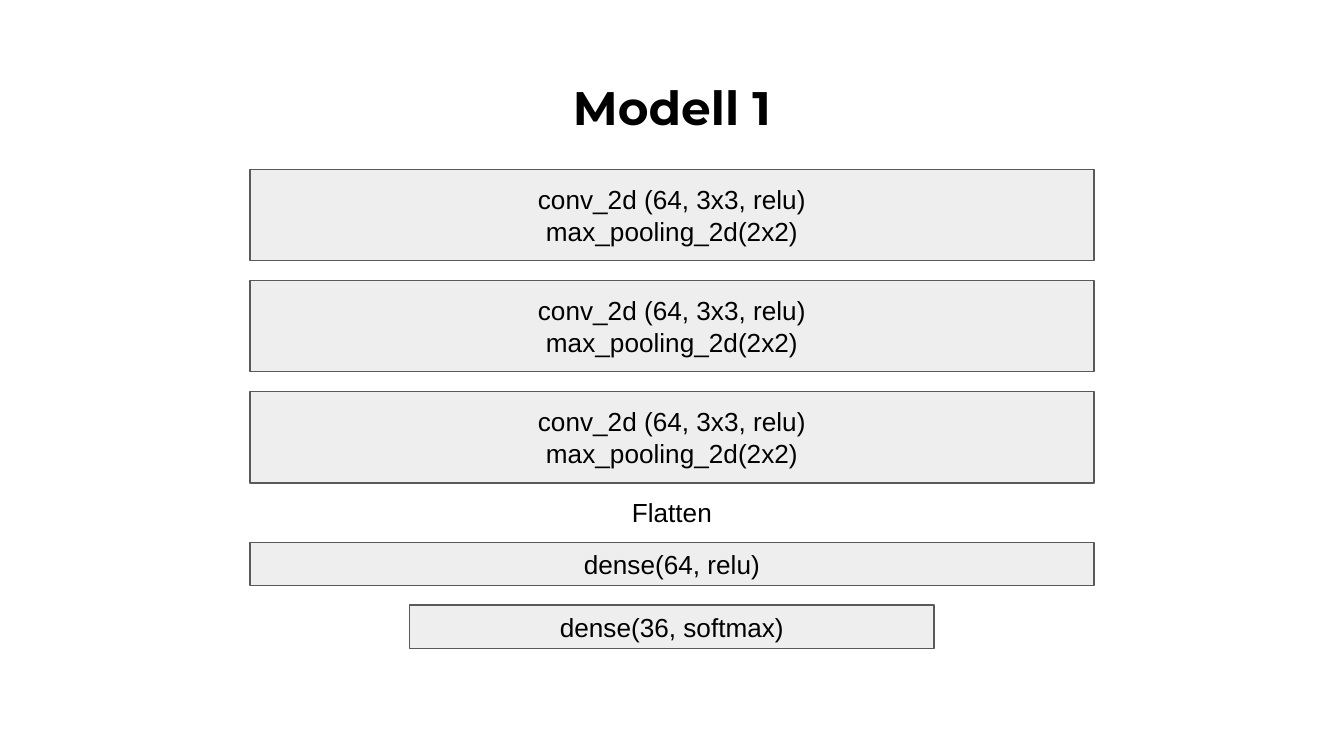
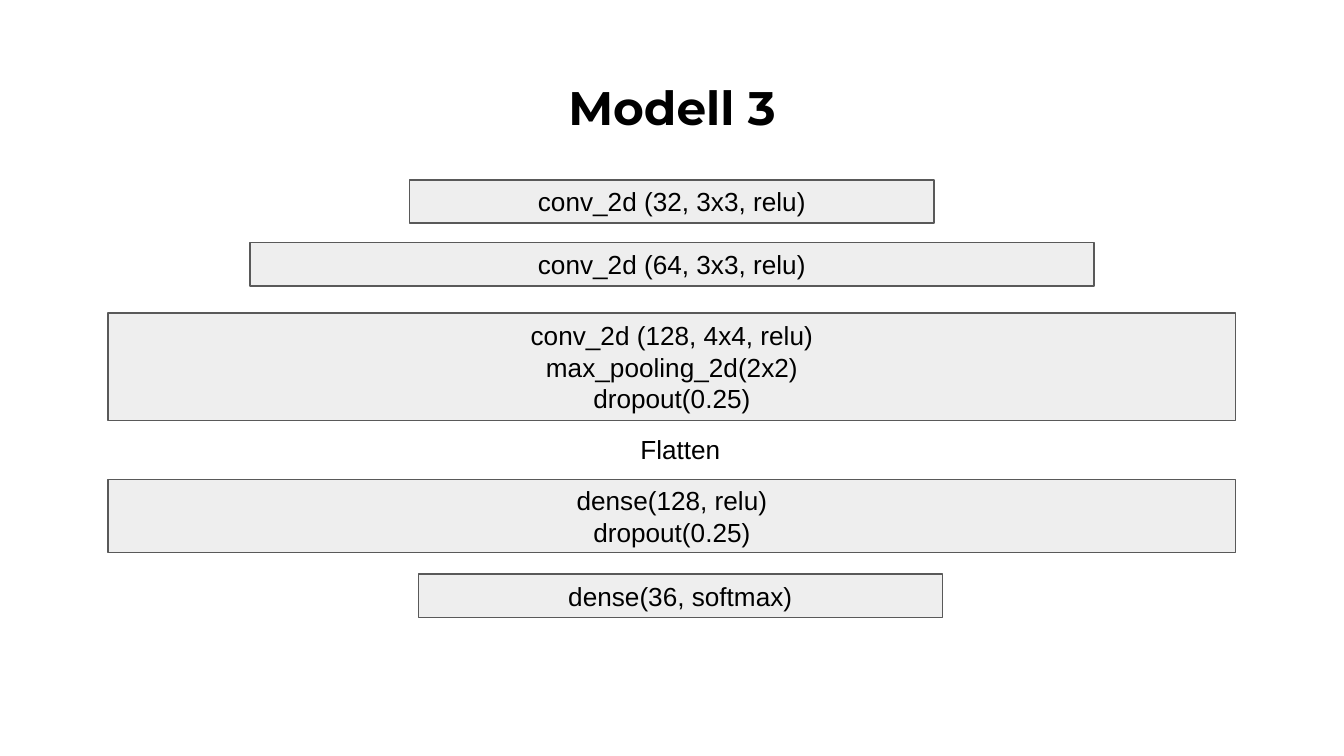
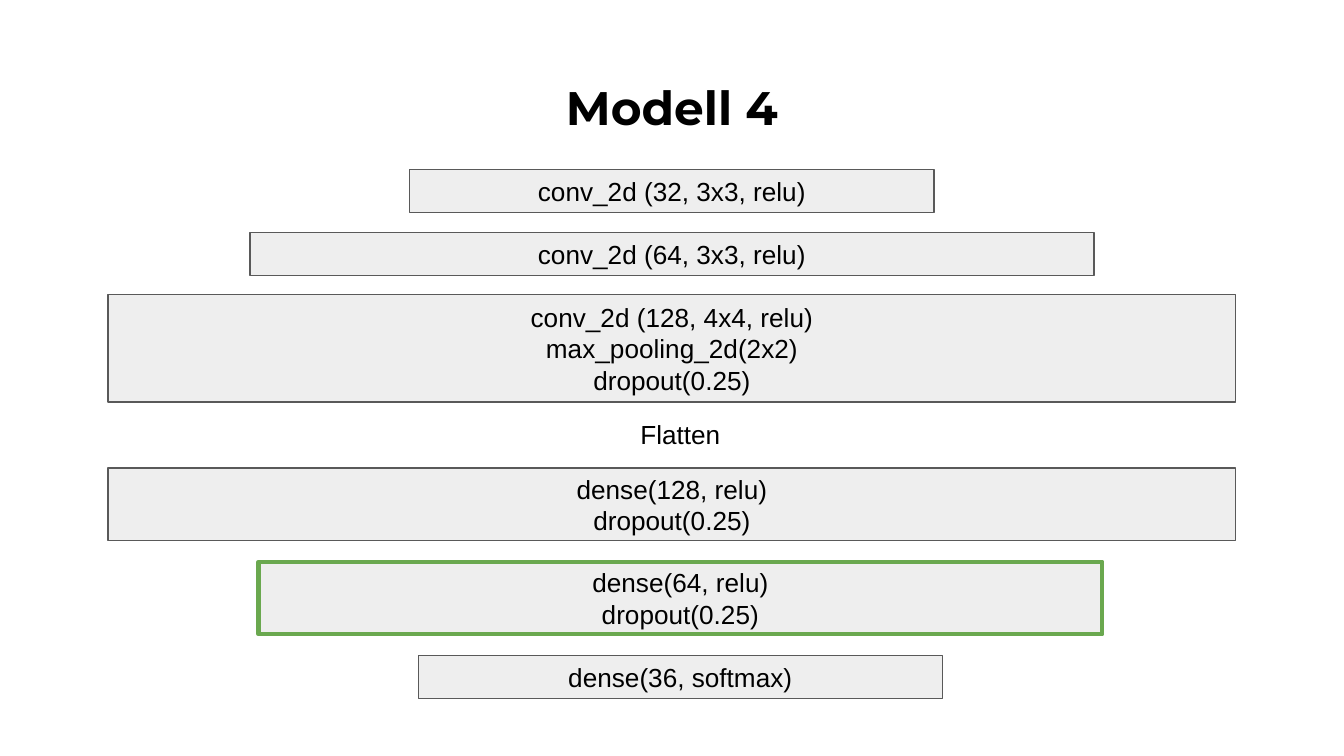
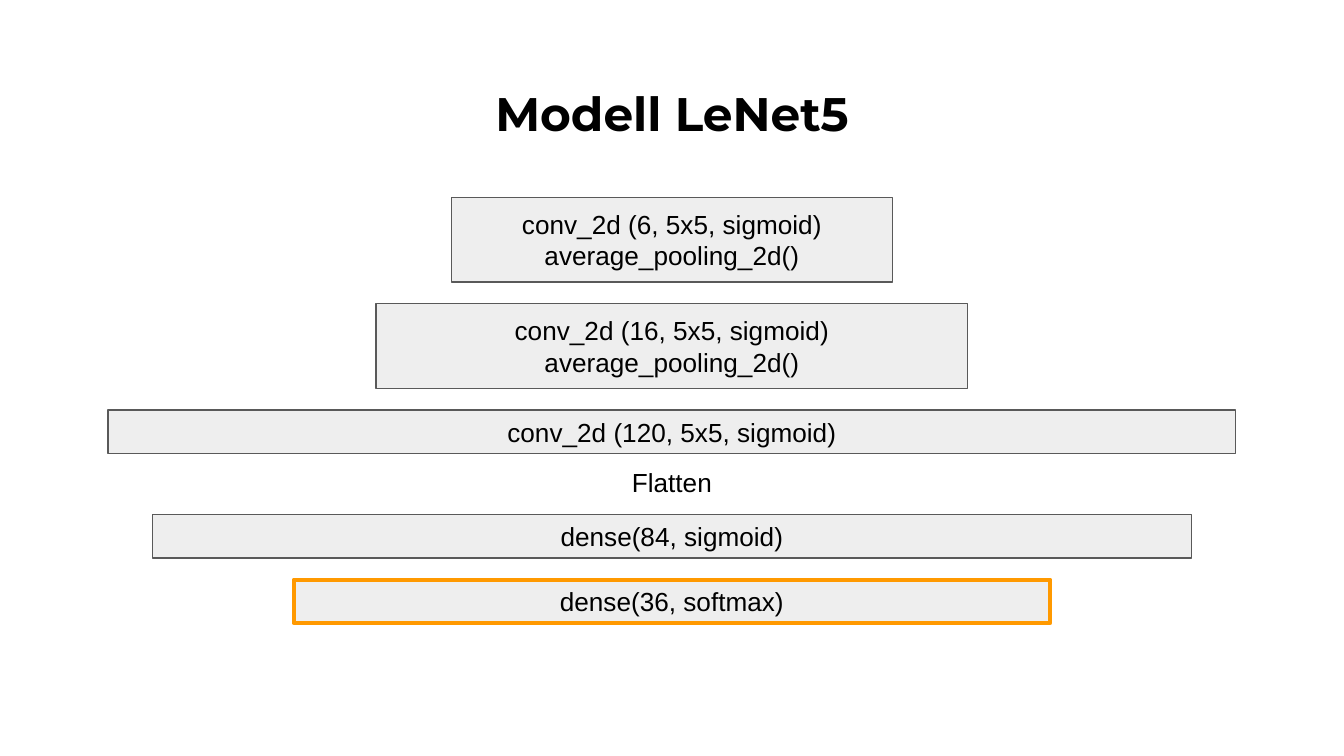
from dataclasses import dataclass
from typing import Optional

from pptx import Presentation
from pptx.dml.color import RGBColor
from pptx.enum.shapes import MSO_SHAPE
from pptx.enum.text import MSO_ANCHOR, MSO_AUTO_SIZE, PP_ALIGN
from pptx.util import Cm, Pt

BLACK = RGBColor(0x00, 0x00, 0x00)
WHITE = RGBColor(0xFF, 0xFF, 0xFF)
LIGHT_GREY = RGBColor(0xEE, 0xEE, 0xEE)
DARK_GREY = RGBColor(0x59, 0x59, 0x59)
GREEN = RGBColor(0x6A, 0xA8, 0x4F)
ORANGE = RGBColor(0xFF, 0x99, 0x00)

TITLE_FONT = {"name": "Montserrat", "size": Pt(25.2), "bold": True}
BODY_FONT = {"name": "Arial", "size": Pt(14)}
INSET = Cm(0.25)
FRAME = {"word_wrap": True, "margin_left": INSET, "margin_right": INSET,
         "margin_top": INSET, "margin_bottom": INSET}

# All lengths below are in centimetres.
SLIDE_W, SLIDE_H = 25.4, 14.29
TITLE_W, TITLE_H = 23.67, 1.6
WIDE, MEDIUM, NARROW = 21.31, 15.95, 9.91
FLATTEN_W = 8.33
SINGLE, DOUBLE, TRIPLE = 0.82, 1.37, 2.03
POOLED, TALL = 1.6, 1.73
SHIFT = 0.16


@dataclass(frozen=True)
class Layer:
    """One step of a network; gap replaces the model's gap above it."""
    text: str
    width: float
    height: float = SINGLE
    gap: Optional[float] = None
    shift: float = 0
    accent: Optional[RGBColor] = None
    boxed: bool = True


@dataclass(frozen=True)
class Model:
    title: str
    top: float
    gap: float
    layers: list[Layer]
    title_top: float = 1.24


def flatten(gap: float = 0, shift: float = 0) -> Layer:
    return Layer("Flatten", FLATTEN_W, 1.12, gap, shift, boxed=False)


POOLED_64 = Layer("conv_2d (64, 3x3, relu)\nmax_pooling_2d(2x2)", MEDIUM, TALL)
CONV_32 = Layer("conv_2d (32, 3x3, relu)", NARROW)
CONV_64 = Layer("conv_2d (64, 3x3, relu)", MEDIUM, gap=0.37)
CONV_128 = "conv_2d (128, 4x4, relu)\nmax_pooling_2d(2x2)\ndropout(0.25)"
DENSE_128 = "dense(128, relu)\ndropout(0.25)"
SOFTMAX = "dense(36, softmax)"

MODELS = [
    Model("Modell 1", 3.2, 0.37, [
        POOLED_64, POOLED_64, POOLED_64,
        flatten(),
        Layer("dense(64, relu)", MEDIUM, gap=0),
        Layer(SOFTMAX, NARROW),
    ]),
    Model("Modell 3", 3.4, 0.41, [
        CONV_32, CONV_64,
        Layer(CONV_128, WIDE, TRIPLE, gap=0.51),
        flatten(shift=SHIFT),
        Layer(DENSE_128, WIDE, DOUBLE, gap=0),
        Layer(SOFTMAX, NARROW, shift=SHIFT),
    ]),
    Model("Modell 4", 3.2, 0.4, [
        CONV_32, CONV_64,
        Layer(CONV_128, WIDE, TRIPLE, gap=0.36),
        flatten(0.06, SHIFT),
        Layer(DENSE_128, WIDE, DOUBLE, gap=0.07),
        Layer("dense(64, relu)\ndropout(0.25)", MEDIUM, DOUBLE, shift=SHIFT, accent=GREEN),
        Layer(SOFTMAX, NARROW, shift=SHIFT),
    ]),
    Model("Modell LeNet5", 3.73, 0.41, [
        Layer("conv_2d (6, 5x5, sigmoid)\naverage_pooling_2d()", FLATTEN_W, POOLED),
        Layer("conv_2d (16, 5x5, sigmoid)\naverage_pooling_2d()", 11.18, POOLED),
        Layer("conv_2d (120, 5x5, sigmoid)", WIDE),
        flatten(),
        Layer("dense(84, sigmoid)", 19.63, gap=0.04),
        Layer(SOFTMAX, 14.3, accent=ORANGE),
    ], title_top=1.35),
]


def apply(target, values: dict) -> None:
    for name, value in values.items():
        setattr(target, name, value)


def write(tf, text: str, font: dict, anchor, auto_size=MSO_AUTO_SIZE.NONE) -> None:
    tf.text = text
    apply(tf, FRAME | {"vertical_anchor": anchor, "auto_size": auto_size})
    for p in tf.paragraphs:
        p.alignment = PP_ALIGN.CENTER
        for r in p.runs:
            apply(r.font, font)
            r.font.color.rgb = BLACK


def add_title(s, model: Model) -> None:
    title = s.shapes.title
    apply(title, {"left": Cm((SLIDE_W - TITLE_W) / 2), "top": Cm(model.title_top),
                  "width": Cm(TITLE_W), "height": Cm(TITLE_H)})
    write(title.text_frame, model.title, TITLE_FONT, MSO_ANCHOR.TOP)


def add_layer(s, layer: Layer, top: float) -> None:
    left = (SLIDE_W - layer.width) / 2 + layer.shift
    box = [Cm(v) for v in (left, top, layer.width, layer.height)]
    if not layer.boxed:
        sp = s.shapes.add_textbox(*box)
        write(sp.text_frame, layer.text, BODY_FONT, MSO_ANCHOR.TOP,
              MSO_AUTO_SIZE.SHAPE_TO_FIT_TEXT)
        return
    sp = s.shapes.add_shape(MSO_SHAPE.RECTANGLE, *box)
    sp.shadow.inherit = False
    sp.fill.solid()
    sp.fill.fore_color.rgb = LIGHT_GREY
    sp.line.color.rgb = layer.accent or DARK_GREY
    sp.line.width = Pt(2.25 if layer.accent else 0.75)
    write(sp.text_frame, layer.text, BODY_FONT, MSO_ANCHOR.MIDDLE)


def add_model(prs, model: Model) -> None:
    s = prs.slides.add_slide(prs.slide_layouts[5])
    s.background.fill.solid()
    s.background.fill.fore_color.rgb = WHITE
    add_title(s, model)
    top = model.top
    for i, layer in enumerate(model.layers):
        if i:
            top += model.gap if layer.gap is None else layer.gap
        add_layer(s, layer, top)
        top += layer.height


def main() -> None:
    prs = Presentation()
    prs.slide_width, prs.slide_height = Cm(SLIDE_W), Cm(SLIDE_H)
    for model in MODELS:
        add_model(prs, model)
    prs.save("out.pptx")


if __name__ == "__main__":
    main()
